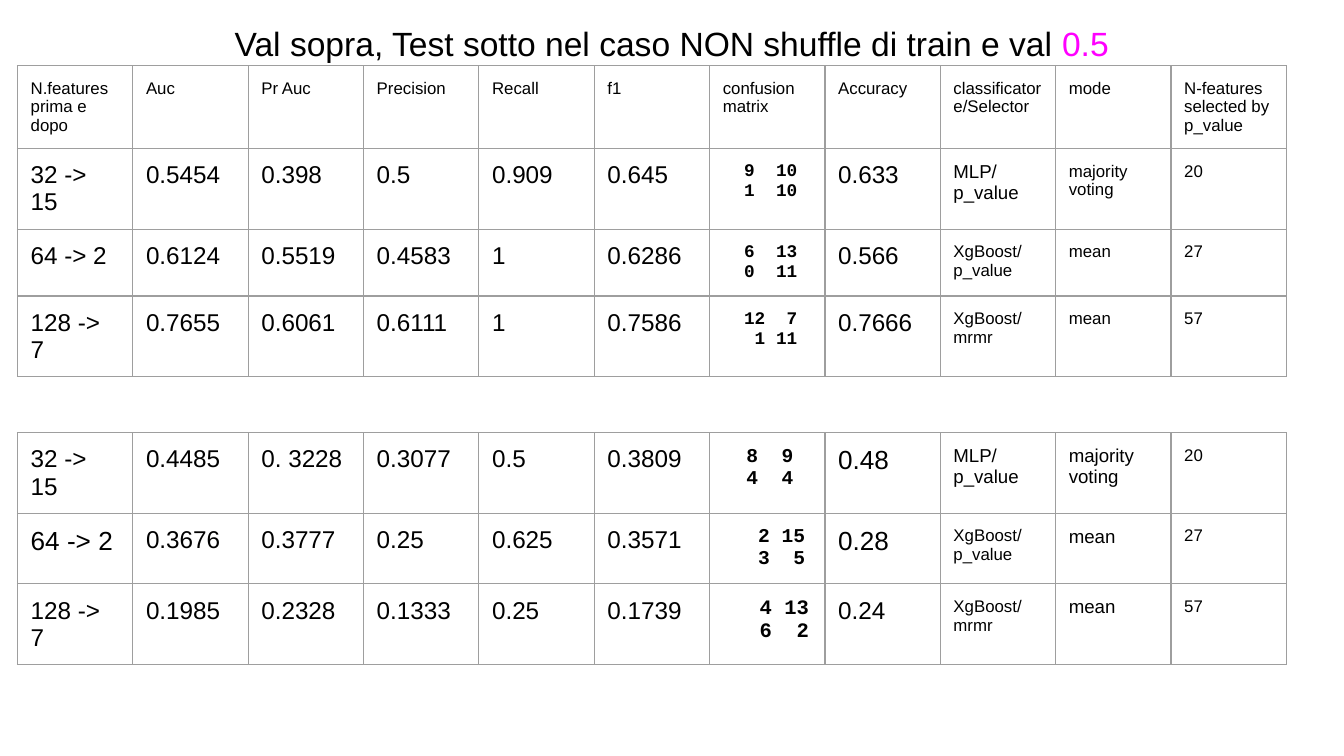
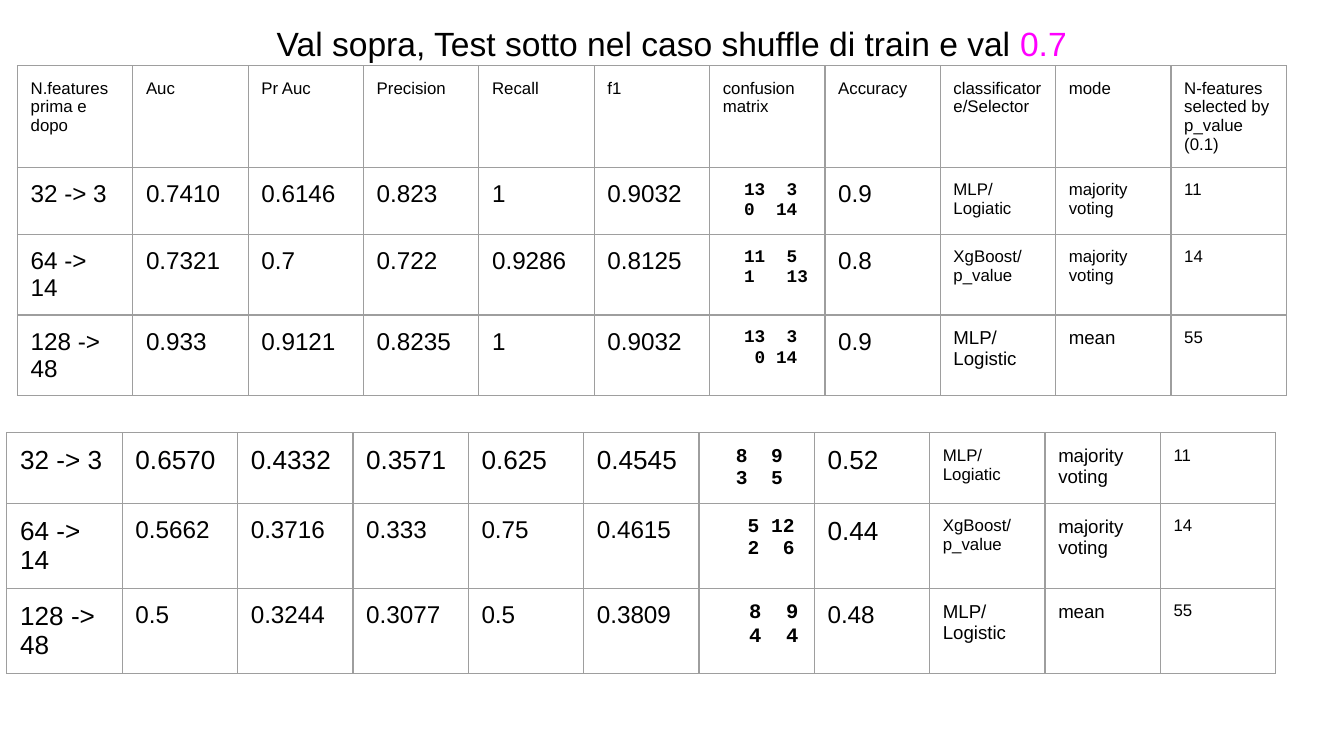
from dataclasses import dataclass

from lxml.etree import SubElement
from pptx import Presentation
from pptx.dml.color import RGBColor
from pptx.enum.text import MSO_ANCHOR, MSO_AUTO_SIZE, PP_ALIGN
from pptx.oxml import parse_xml
from pptx.oxml.ns import nsdecls, qn
from pptx.util import Cm, Pt


@dataclass(frozen=True)
class Theme:
    ink: str = "000000"
    accent: str = "FF00FF"
    border: str = "9E9E9E"
    sans: str = "Arial"
    mono: str = "Courier New"
    title: float = 18
    large: float = 14
    value: float = 13
    label: float = 10
    small: float = 9
    matrix_large: float = 11
    matrix_medium: float = 10.5
    matrix_small: float = 9.5
    border_width: float = 0.75


THEME = Theme()
INSET = Cm(0.25)
COLUMN_WIDTH = Cm(2.18)
TABLE_LEFT = Cm(0.33)
VAL_TOP, TEST_TOP = Cm(1.24), Cm(8.18)
HEADER_HEIGHT, VAL_ROW_HEIGHT, TEST_ROW_HEIGHT = Cm(1.55), Cm(1.07), Cm(0.99)
MONO_ADVANCE = 0.6  # width of a monospaced character, in ems

HEADINGS = ("N.features prima e dopo", "Auc", "Pr Auc", "Precision", "Recall", "f1",
            "confusion matrix", "Accuracy", "classificatore/Selector", "mode")


@dataclass(frozen=True)
class MatrixLine:
    """Two counts and the character columns at which they end."""
    first: int
    second: int
    first_end: int = 3
    second_end: int = 7


@dataclass(frozen=True)
class Result:
    features: str
    scores: str  # AUC, PR AUC, precision, recall and f1, separated by "|"
    matrix: tuple[MatrixLine, MatrixLine]
    accuracy: str
    selector: str
    mode: str
    selected: str
    features_size: float = THEME.value
    scores_size: float = THEME.value
    matrix_size: float = THEME.matrix_small
    accuracy_size: float = THEME.value
    selector_size: float = THEME.small
    mode_size: float = THEME.small


@dataclass(frozen=True)
class Comparison:
    title: str
    threshold: str
    selected_heading: str
    val: tuple[Result, ...]
    test: tuple[Result, ...]
    test_left: int = TABLE_LEFT


Line = MatrixLine
BIG, LABEL = THEME.large, THEME.label
MEDIUM_MATRIX, LARGE_MATRIX = THEME.matrix_medium, THEME.matrix_large

COMPARISONS = (
    Comparison(
        "Val sopra, Test sotto nel caso NON shuffle di train e val ", "0.5",
        "N-features selected by p_value",
        val=(
            Result("32 -> 15", "0.5454|0.398|0.5|0.909|0.645", (Line(9, 10), Line(1, 10)),
                   "0.633", "MLP/p_value", "majority voting", "20", selector_size=LABEL),
            Result("64 -> 2", "0.6124|0.5519|0.4583|1|0.6286", (Line(6, 13), Line(0, 11)),
                   "0.566", "XgBoost/p_value", "mean", "27"),
            Result("128 -> 7", "0.7655|0.6061|0.6111|1|0.7586",
                   (Line(12, 7, 4), Line(1, 11, 4)),
                   "0.7666", "XgBoost/mrmr", "mean", "57"),
        ),
        test=(
            Result("32 -> 15", "0.4485|0. 3228|0.3077|0.5|0.3809",
                   (Line(8, 9, 3, 6), Line(4, 4, 3, 6)),
                   "0.48", "MLP/p_value", "majority voting", "20",
                   matrix_size=MEDIUM_MATRIX, accuracy_size=BIG,
                   selector_size=LABEL, mode_size=LABEL),
            Result("64 -> 2", "0.3676|0.3777|0.25|0.625|0.3571",
                   (Line(2, 15, 4), Line(3, 5, 4)),
                   "0.28", "XgBoost/p_value", "mean", "27", features_size=BIG,
                   matrix_size=MEDIUM_MATRIX, accuracy_size=BIG, mode_size=LABEL),
            Result("128 -> 7", "0.1985|0.2328|0.1333|0.25|0.1739",
                   (Line(4, 13, 4), Line(6, 2, 4)),
                   "0.24", "XgBoost/mrmr", "mean", "57",
                   matrix_size=LARGE_MATRIX, mode_size=LABEL),
        ),
    ),
    Comparison(
        "Val sopra, Test sotto nel caso shuffle di train e val ", "0.7",
        "N-features selected by p_value (0.1)",
        val=(
            Result("32 -> 3", "0.7410|0.6146|0.823|1|0.9032", (Line(13, 3, 4), Line(0, 14)),
                   "0.9", "MLP/Logiatic", "majority voting", "11"),
            Result("64 -> 14", "0.7321|0.7|0.722|0.9286|0.8125",
                   (Line(11, 5, 4), Line(1, 13, 3, 8)),
                   "0.8", "XgBoost/p_value", "majority voting", "14"),
            Result("128 -> 48", "0.933|0.9121|0.8235|1|0.9032",
                   (Line(13, 3, 4), Line(0, 14, 4)),
                   "0.9", "MLP/Logistic", "mean", "55",
                   selector_size=LABEL, mode_size=LABEL),
        ),
        test=(
            Result("32 -> 3", "0.6570|0.4332|0.3571|0.625|0.4545",
                   (Line(8, 9, 3, 6), Line(3, 5, 3, 6)),
                   "0.52", "MLP/Logiatic", "majority voting", "11",
                   features_size=BIG, scores_size=BIG, matrix_size=MEDIUM_MATRIX,
                   accuracy_size=BIG, mode_size=LABEL),
            Result("64 -> 14", "0.5662|0.3716|0.333|0.75|0.4615",
                   (Line(5, 12, 4), Line(2, 6, 4)),
                   "0.44", "XgBoost/p_value", "majority voting", "14", features_size=BIG,
                   matrix_size=MEDIUM_MATRIX, accuracy_size=BIG, mode_size=LABEL),
            Result("128 -> 48", "0.5|0.3244|0.3077|0.5|0.3809",
                   (Line(8, 9, 4), Line(4, 4, 4)),
                   "0.48", "MLP/Logistic", "mean", "55", features_size=BIG,
                   matrix_size=LARGE_MATRIX, selector_size=LABEL, mode_size=LABEL),
        ),
        test_left=Cm(0.13),
    ),
)


def write(paragraph, text: str, *, size: float = THEME.small, color: str = THEME.ink,
          font: str = THEME.sans, bold: bool = False) -> None:
    run = paragraph.add_run()
    run.text = text
    run.font.size = Pt(size)
    run.font.name = font
    run.font.bold = bold
    run.font.color.rgb = RGBColor.from_string(color)


def style_cell(cell) -> None:
    cell.margin_left = cell.margin_right = cell.margin_top = cell.margin_bottom = INSET
    cell.fill.background()
    properties = cell._tc.get_or_add_tcPr()
    for position, side in enumerate("LRTB"):
        properties.insert(position, parse_xml(
            f'<a:ln{side} {nsdecls("a")} w="{Pt(THEME.border_width)}"><a:solidFill>'
            f'<a:srgbClr val="{THEME.border}"/></a:solidFill></a:ln{side}>'))


def write_matrix(cell, lines: tuple[MatrixLine, ...], size: float) -> None:
    """Set each line of counts on right-aligned tab stops."""
    frame = cell.text_frame
    for index, line in enumerate(lines):
        paragraph = frame.add_paragraph() if index else frame.paragraphs[0]
        tabs = SubElement(paragraph._p.get_or_add_pPr(), qn("a:tabLst"))
        for end in (line.first_end, line.second_end):
            SubElement(tabs, qn("a:tab"), pos=str(Pt(end * MONO_ADVANCE * size)), algn="r")
        write(paragraph, f"\t{line.first}\t{line.second}",
              size=size, font=THEME.mono, bold=True)


def fill_result(cells: list, result: Result) -> None:
    features, *scores, matrix, accuracy, selector, mode, selected = cells
    entries = [
        (features, result.features, result.features_size),
        *((cell, score, result.scores_size)
          for cell, score in zip(scores, result.scores.split("|"))),
        (accuracy, result.accuracy, result.accuracy_size),
        (selector, result.selector, result.selector_size),
        (mode, result.mode, result.mode_size),
        (selected, result.selected, THEME.small),
    ]
    for cell, text, size in entries:
        write(cell.text_frame.paragraphs[0], text, size=size)
    write_matrix(matrix, result.matrix, result.matrix_size)


def add_results(slide, results: tuple[Result, ...], left: int, top: int,
                row_height: int, headings: tuple[str, ...] = ()) -> None:
    heights = [HEADER_HEIGHT] * bool(headings) + [row_height] * len(results)
    column_count = len(HEADINGS) + 1
    table = slide.shapes.add_table(len(heights), column_count, left, top,
                                   COLUMN_WIDTH * column_count, sum(heights)).table
    table.first_row = table.horz_banding = False
    for column in table.columns:
        column.width = COLUMN_WIDTH
    for row, height in zip(table.rows, heights):
        row.height = height
    for cell in table.iter_cells():
        style_cell(cell)
    rows = [list(row.cells) for row in table.rows]
    if headings:
        for cell, heading in zip(rows.pop(0), headings):
            write(cell.text_frame.paragraphs[0], heading)
    for cells, result in zip(rows, results):
        fill_result(cells, result)


def add_title(slide, text: str, threshold: str) -> None:
    title = slide.shapes.title
    title.left, title.top, title.width, title.height = Cm(0.25), Cm(0.18), Cm(24.89), Cm(1.63)
    frame = title.text_frame
    frame.margin_left = frame.margin_right = frame.margin_top = frame.margin_bottom = INSET
    frame.word_wrap = True
    frame.auto_size = MSO_AUTO_SIZE.NONE
    frame.vertical_anchor = MSO_ANCHOR.TOP
    heading = frame.paragraphs[0]
    heading.alignment = PP_ALIGN.CENTER
    write(heading, text, size=THEME.title)
    write(heading, threshold, size=THEME.title, color=THEME.accent)


def add_comparison(deck, comparison: Comparison) -> None:
    slide = deck.slides.add_slide(deck.slide_layouts.get_by_name("Title Only"))
    add_results(slide, comparison.test, comparison.test_left, TEST_TOP, TEST_ROW_HEIGHT)
    add_title(slide, comparison.title, comparison.threshold)
    add_results(slide, comparison.val, TABLE_LEFT, VAL_TOP, VAL_ROW_HEIGHT,
                (*HEADINGS, comparison.selected_heading))


def main() -> None:
    deck = Presentation()
    deck.slide_width, deck.slide_height = Cm(25.4), Cm(14.29)
    for comparison in COMPARISONS:
        add_comparison(deck, comparison)
    deck.save("out.pptx")


if __name__ == "__main__":
    main()
